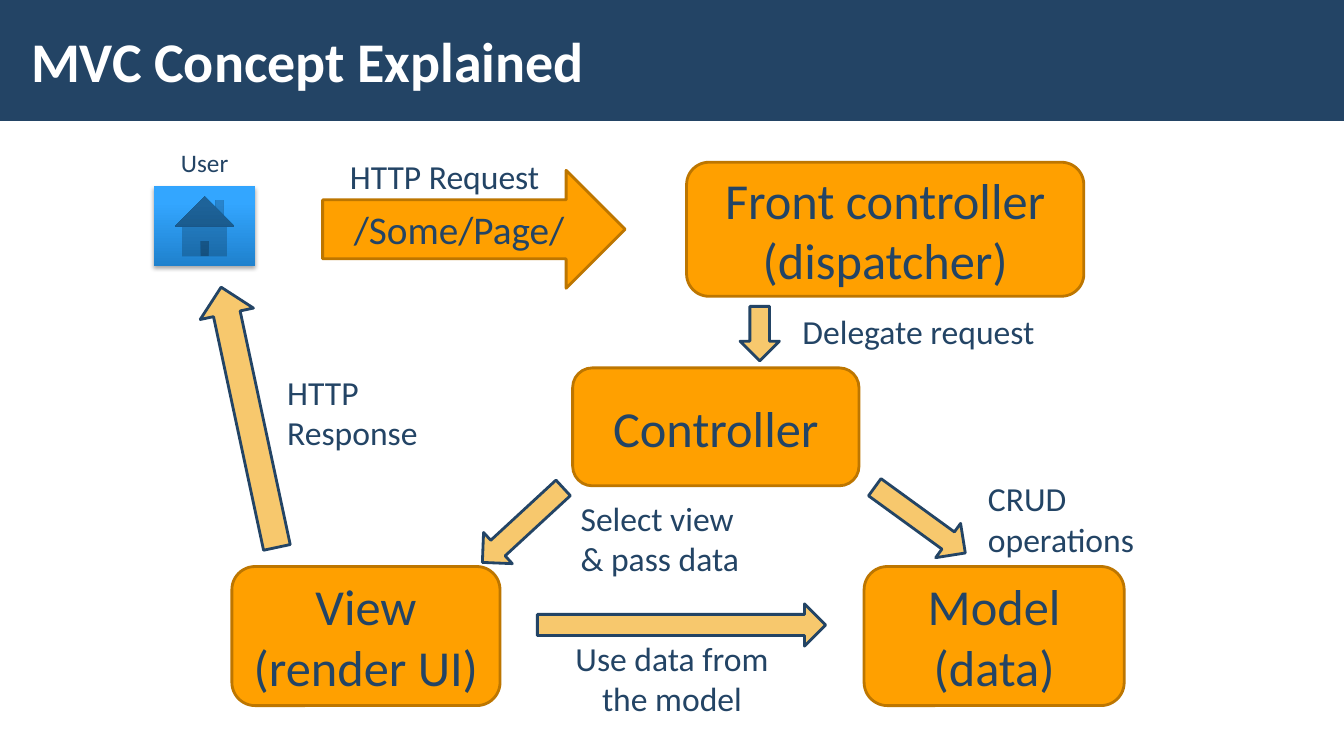
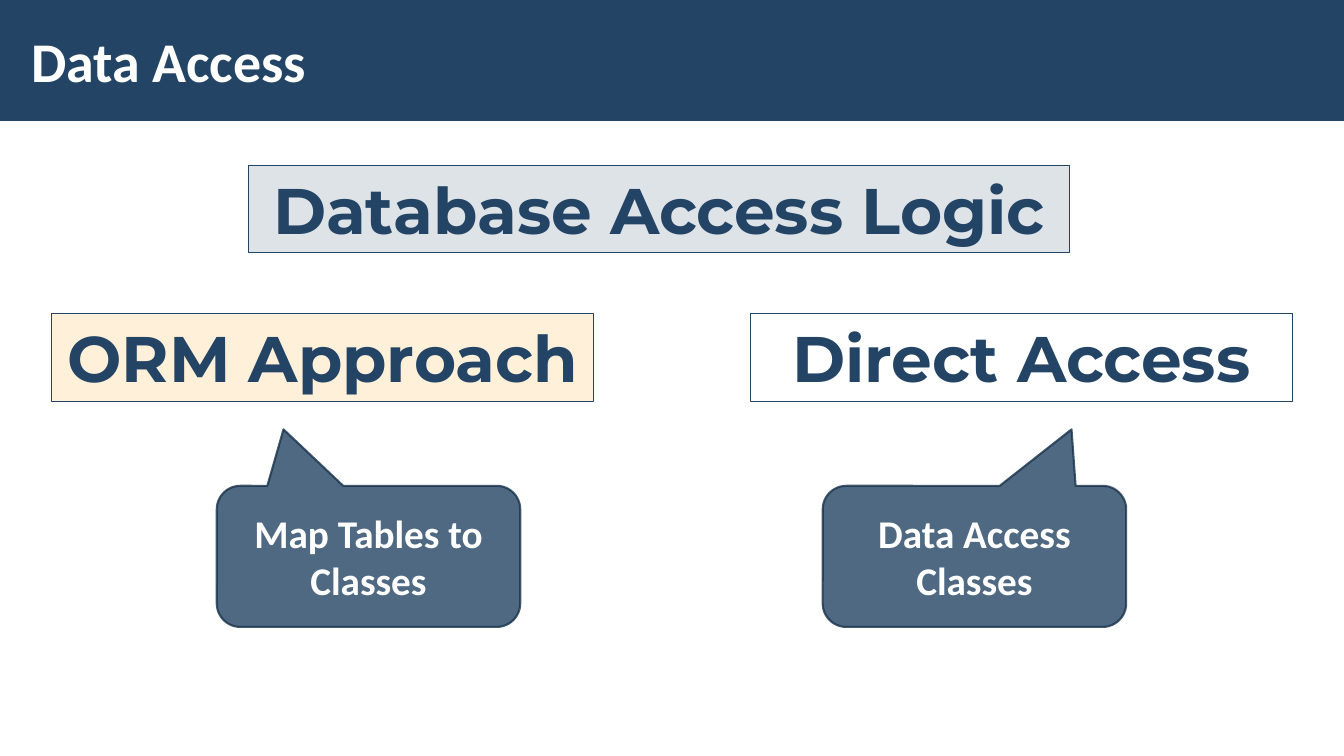
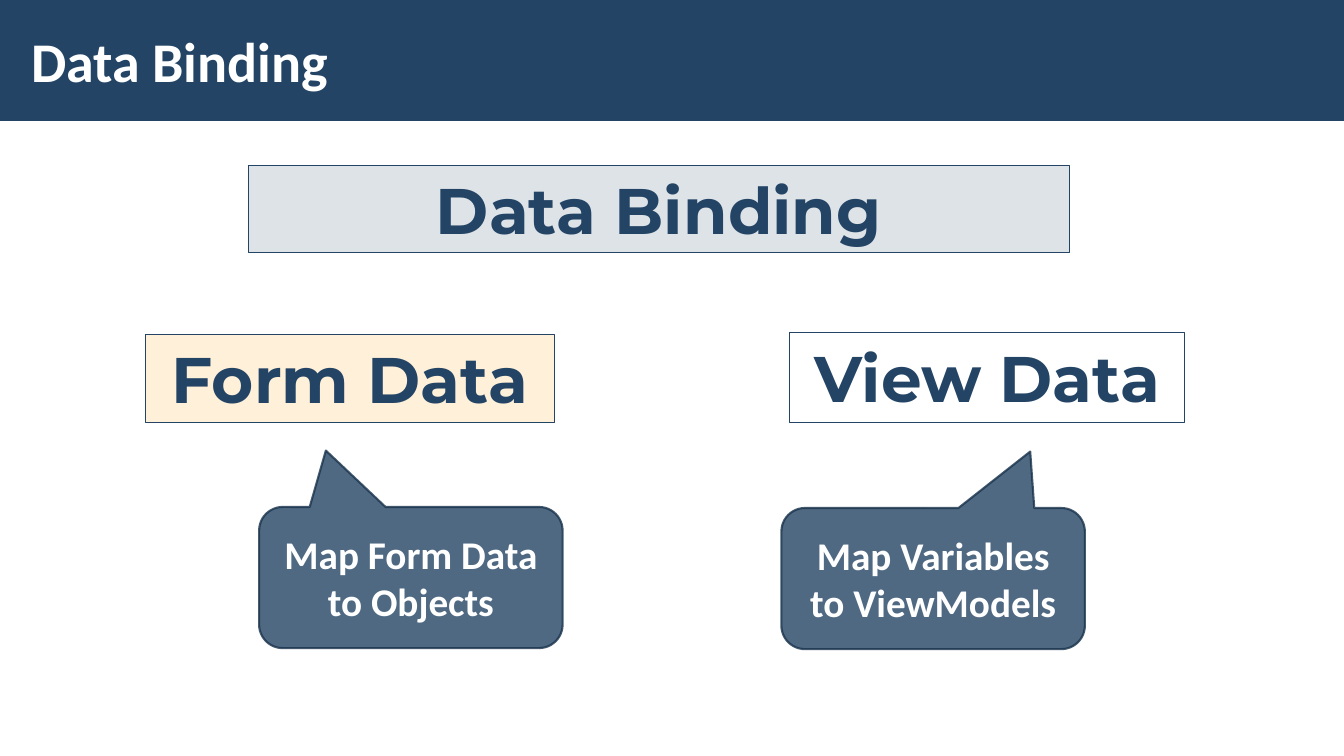
"""Build three slides on the MVC concept, data access and data binding."""
from dataclasses import dataclass

from lxml import etree
from pptx import Presentation
from pptx import util as u
from pptx.dml.color import RGBColor
from pptx.enum import shapes, text
from pptx.oxml.ns import qn

SHAPE = shapes.MSO_SHAPE
ALIGN = text.PP_ALIGN
ANCHOR = text.MSO_ANCHOR


@dataclass(frozen=True)
class Theme:
    """Colours, fonts and type sizes of the deck."""
    navy: str = "234465"
    navy_edge: str = "1A334C"
    white: str = "FFFFFF"
    orange: str = "FFA000"
    orange_edge: str = "BD7600"
    sand: str = "F7C86D"
    icon_low: str = "1F81CD"
    icon_high: str = "33A6FF"
    body: str = "Calibri"
    display: str = "Montserrat"
    title: int = 40
    heading: int = 46
    node: int = 36
    callout: int = 28
    label: int = 24
    caption: int = 18


T = Theme()


def inches(*values):
    """Convert numbers to lengths."""
    return [u.Inches(v) for v in values]


def paint(fill, color, alpha=100):
    """Apply a solid colour with an opacity in percent."""
    fill.solid()
    fill.fore_color.rgb = RGBColor.from_string(color)
    if alpha < 100:
        clr = fill._xPr.find(qn("a:solidFill"))[0]
        etree.SubElement(clr, qn("a:alpha"), val=str(alpha * 1000))


def write(sp, words, size, color=T.navy, font=T.body, bold=False,
          align=ALIGN.CENTER, anchor=ANCHOR.MIDDLE):
    """Fill a shape with uniformly styled text."""
    tf = sp.text_frame
    tf.word_wrap = True
    tf.vertical_anchor = anchor
    tf.text = words
    for p in tf.paragraphs:
        p.alignment = align
        p.font.name = font
        p.font.size = u.Pt(size)
        p.font.bold = bold
        p.font.color.rgb = RGBColor.from_string(color)


def add_shape(s, kind, box, color, edge=None, width=2, alpha=100,
              edge_alpha=100, rotation=0):
    """Add a flat preset shape."""
    sp = s.shapes.add_shape(kind, *inches(*box))
    sp.shadow.inherit = False
    sp.rotation = rotation
    paint(sp.fill, color, alpha)
    if edge:
        paint(sp.line.fill, edge, edge_alpha)
        sp.line.width = u.Pt(width)
    else:
        sp.line.fill.background()
    return sp


def add_label(s, words, box, size=T.label, **style):
    """Add a free-standing text."""
    write(s.shapes.add_textbox(*inches(*box)), words, size, **style)


def add_node(s, words, box, kind=SHAPE.ROUNDED_RECTANGLE, size=T.node):
    """Add an orange component of the diagram."""
    write(add_shape(s, kind, box, T.orange, T.orange_edge), words, size)


def add_heading(s, words, box, color):
    """Add a tinted box with a large heading."""
    sp = add_shape(s, SHAPE.RECTANGLE, box, color, T.navy, 0.75, alpha=15)
    write(sp, words, T.heading, font=T.display, bold=True, anchor=ANCHOR.TOP)


def add_callout(s, words, left, top, tip):
    """Add a speech bubble whose tip points up at a heading."""
    sp = add_shape(s, SHAPE.ROUNDED_RECTANGULAR_CALLOUT,
                   (left, top, 3.01, 1.4), T.navy, T.navy_edge, 1.5,
                   alpha=80, edge_alpha=80)
    sp.adjustments[0] = tip
    sp.adjustments[1] = -0.9
    write(sp, words, T.callout, T.white, bold=True)


def add_home_icon(s, box):
    """Add the home button that stands for the user."""
    sp = add_shape(s, SHAPE.ACTION_BUTTON_HOME, box, T.icon_high)
    sp.fill.gradient()
    sp.fill.gradient_angle = 90
    stops = ((0, T.icon_low), (0.8, T.icon_high))
    for stop, (position, color) in zip(sp.fill.gradient_stops, stops):
        stop.position = position
        stop.color.rgb = RGBColor.from_string(color)
    effects = sp._element.spPr.find(qn("a:effectLst"))
    shadow = etree.SubElement(
        effects, qn("a:outerShdw"), blurRad=str(u.Pt(3.1)),
        dist=str(u.Pt(1.8)), dir="5400000", rotWithShape="0")
    clr = etree.SubElement(shadow, qn("a:srgbClr"), val="000000")
    etree.SubElement(clr, qn("a:alpha"), val="35000")


def add_slide(prs, title):
    """Add a slide with the title band."""
    s = prs.slides.add_slide(prs.slide_layouts[6])
    add_shape(s, SHAPE.RECTANGLE, (0, 0, 13.33, 1.2), T.navy)
    add_label(s, title, (0.21, 0.11, 10.39, 0.97), T.title,
              color=T.white, bold=True, align=ALIGN.LEFT)
    return s


def build_mvc(prs):
    """Draw the request cycle of MVC."""
    s = add_slide(prs, "MVC Concept Explained")
    add_node(s, "/Some/Page/", (3.2, 1.69, 3, 1.17),
             SHAPE.RIGHT_ARROW, T.callout)
    for words, box in (
            ("Front controller (dispatcher)", (6.81, 1.61, 3.94, 1.33)),
            ("Controller", (5.68, 3.65, 2.84, 1.17)),
            ("Model (data)", (8.57, 5.62, 2.58, 1.38)),
            ("View\n(render UI)", (2.3, 5.62, 2.66, 1.38))):
        add_node(s, words, box)
    for kind, box, rotation in (
            (SHAPE.DOWN_ARROW, (7.34, 3.04, 0.39, 0.54), 0),
            (SHAPE.RIGHT_ARROW, (5.33, 5.99, 2.86, 0.42), 0),
            (SHAPE.RIGHT_ARROW, (8.57, 4.95, 1.11, 0.42), 36),
            (SHAPE.LEFT_ARROW, (4.64, 5, 1.09, 0.42), -42.7),
            (SHAPE.UP_ARROW, (2.2, 2.82, 0.54, 2.64), -12.1)):
        add_shape(s, kind, box, T.sand, T.navy, rotation=rotation)
    add_home_icon(s, (1.53, 1.85, 1, 0.79))
    add_label(s, "User", (1.53, 1.36, 1, 0.5), T.caption)
    for words, box, align in (
            ("HTTP Request", (3.2, 1.5, 2.42, 0.5), ALIGN.CENTER),
            ("Delegate request", (7.69, 3.05, 2.84, 0.47), ALIGN.CENTER),
            ("Use data from\nthe model", (5.25, 6.48, 2.83, 0.5),
             ALIGN.CENTER),
            ("HTTP\vResponse", (2.75, 3.52, 1.75, 1.13), ALIGN.LEFT),
            ("Select view\v& pass data", (5.66, 4.68, 2.21, 1.31),
             ALIGN.LEFT),
            ("CRUD operations", (9.7, 4.69, 1.67, 0.91), ALIGN.LEFT)):
        add_label(s, words, box, align=align)


def build_topic(prs, title, banner, options):
    """Draw a banner above two options, each with a callout."""
    s = add_slide(prs, title)
    add_heading(s, banner, (2.46, 1.64, 8.15, 0.87), T.navy)
    looks = ((T.orange, -0.28), (T.white, 0.32))
    for (color, tip), (words, box, note, left, top) in zip(looks, options):
        add_heading(s, words, box, color)
        add_callout(s, note, left, top, tip)


def main():
    """Build and save the deck."""
    prs = Presentation()
    prs.slide_width, prs.slide_height = inches(13.33, 7.5)
    build_mvc(prs)
    build_topic(prs, "Data Access", "Database Access Logic", (
        ("ORM Approach", (0.51, 3.11, 5.38, 0.87),
         "Map Tables to Classes", 2.15, 4.82),
        ("Direct Access", (7.44, 3.11, 5.38, 0.87),
         "Data Access Classes", 8.16, 4.82)))
    build_topic(prs, "Data Binding", "Data Binding", (
        ("Form Data", (1.44, 3.32, 4.06, 0.87),
         "Map Form Data to Objects", 2.57, 5.03),
        ("View Data", (7.83, 3.3, 3.92, 0.89),
         "Map Variables to ViewModels", 7.75, 5.04)))
    prs.save("out.pptx")


if __name__ == "__main__":
    main()
